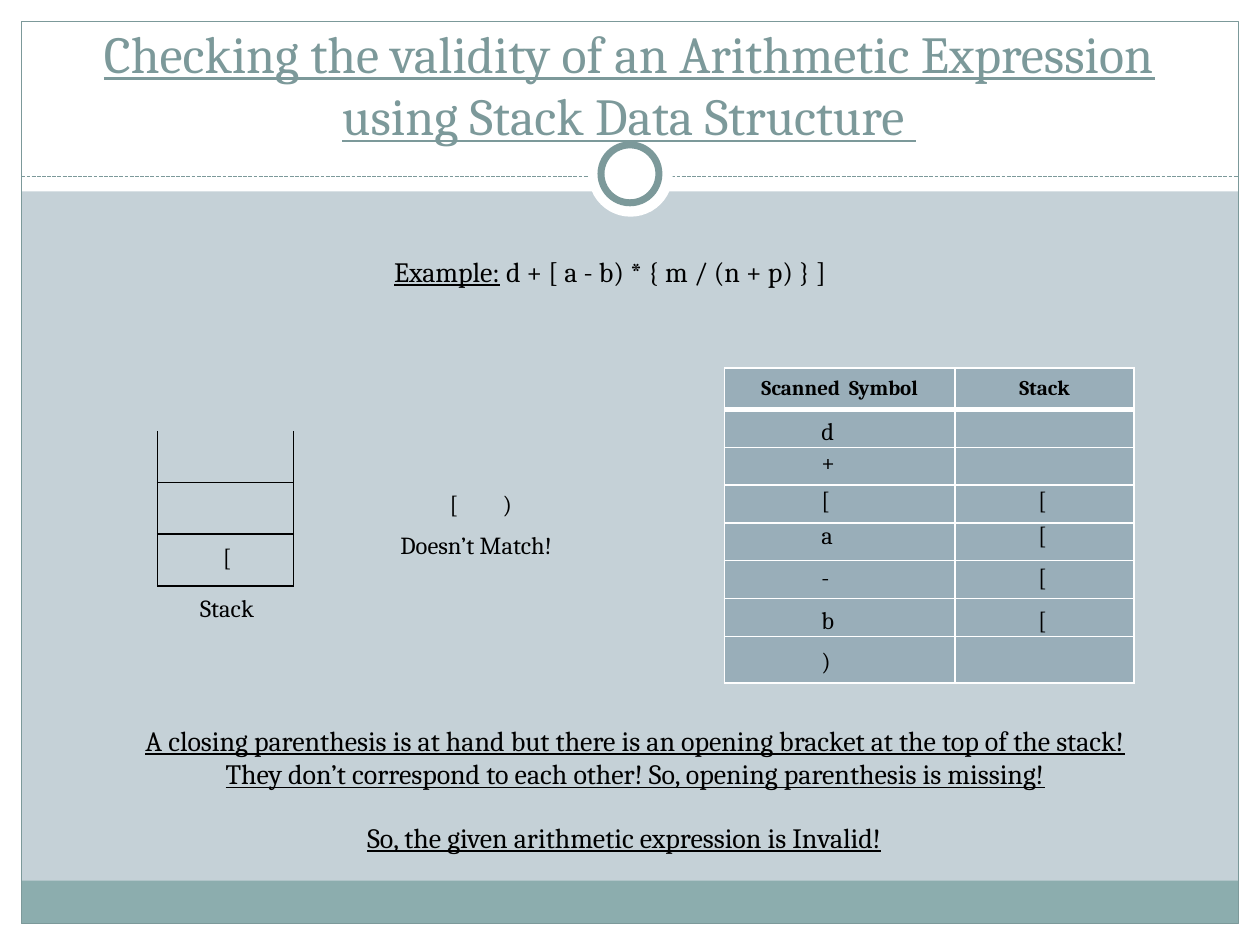
from lxml.etree import SubElement
from pptx import Presentation
from pptx.dml.color import RGBColor
from pptx.enum.dml import MSO_LINE
from pptx.enum.shapes import MSO_CONNECTOR, MSO_SHAPE
from pptx.enum.text import MSO_ANCHOR, MSO_AUTO_SIZE, PP_ALIGN
from pptx.oxml import parse_xml
from pptx.oxml.ns import nsdecls, qn
from pptx.util import Inches, Pt

FONT = "Cambria"
WHITE = RGBColor(0xFF, 0xFF, 0xFF)
BLACK = RGBColor(0, 0, 0)
BACKDROP = RGBColor(0xC5, 0xD1, 0xD7)
TEAL = RGBColor(0x7C, 0x99, 0x9A)
FOOTER = RGBColor(0x8C, 0xAD, 0xAE)
CELL = RGBColor(0x88, 0xA1, 0xAD)
W, H, EDGE = 10, 7.5, 0.17

# Content
TITLE = "Checking the validity of an Arithmetic Expression using Stack Data Structure "
EXAMPLE = [[("Example:", True), (" d + [ a - b) * { m / (n + p) } ]", False)]]
HEADERS = ["Scanned  Symbol", "Stack"]
STEPS = [  # scanned symbol, stack content, top of the labels
    ("d", "", 3.25), ("+", "", 3.5), ("[", "[", 3.8), ("a", "[", 4.08),
    ("-", "[", 4.41), ("b", "[", 4.75), (")", "", 5.08),
]
SYMBOL_X, STACK_X = 6.42, 8.14
LABELS = [  # text, left, top, width
    ("[", 1.67, 4.25, 0.28), ("Stack", 1.49, 4.66, 0.67),
    ("[", 3.47, 3.83, 0.28), (")", 3.89, 3.83, 0.28),
    ("Doesn’t Match!", 3.08, 4.16, 1.53),
]
REASON = [
    [("A closing parenthesis is at hand but there is an opening bracket at the top of the stack!", True)],
    [("They don’t correspond to each other! So, opening parenthesis is missing!", True)],
]
VERDICT = [[("So, the given arithmetic expression is Invalid!", True)]]

prs = Presentation()
prs.slide_width, prs.slide_height = Inches(W), Inches(H)
s = prs.slides.add_slide(prs.slide_layouts[5])
s.background.fill.solid()
s.background.fill.fore_color.rgb = BACKDROP


def box(*at):
    return [Inches(v) for v in at]


def set_font(font, size, color=BLACK):
    font.name, font.size = FONT, Pt(size)
    font.color.rgb = color


def add_panel(at, fill=None, line=None, width=0.75, kind=MSO_SHAPE.RECTANGLE):
    sp = s.shapes.add_shape(kind, *box(*at))
    sp.shadow.inherit = False
    if fill is None:
        sp.fill.background()
    else:
        sp.fill.solid()
        sp.fill.fore_color.rgb = fill
    if line is None:
        sp.line.fill.background()
    else:
        sp.line.color.rgb, sp.line.width = line, Pt(width)


def add_label(text, left, top, width=0.3):
    tf = s.shapes.add_textbox(*box(left, top, width, 0.34)).text_frame
    tf.word_wrap, tf.auto_size = False, MSO_AUTO_SIZE.SHAPE_TO_FIT_TEXT
    p = tf.paragraphs[0]
    p.text = text
    set_font(p.font, 14)


def add_statement(lines, at, align=None):
    tf = s.shapes.add_textbox(*box(*at)).text_frame
    tf.word_wrap, tf.auto_size = True, MSO_AUTO_SIZE.SHAPE_TO_FIT_TEXT
    for i, line in enumerate(lines):
        p = tf.add_paragraph() if i else tf.paragraphs[0]
        p.alignment, p.level = align, 1
        for text, underline in line:
            r = p.add_run()
            r.text = text
            set_font(r.font, 16)
            r.font.underline = underline


def set_borders(cell, color, **widths):
    """Give the sides L, R, T, B a width in points; 0 hides a side."""
    tc_pr = cell._tc.get_or_add_tcPr()
    for i, side in enumerate("LRTB"):
        pt = widths.get(side, 1)
        paint = f'<a:solidFill><a:srgbClr val="{color}"/></a:solidFill>' if pt else "<a:noFill/>"
        tc_pr.insert(i, parse_xml(
            f'<a:ln{side} {nsdecls("a")} w="{Pt(pt)}">{paint}</a:ln{side}>'))


def add_grid(at, col_widths, row_heights):
    table = s.shapes.add_table(len(row_heights), len(col_widths), *box(*at)).table
    table.horz_banding = False
    for col, width in zip(table.columns, col_widths):
        col.width = Inches(width)
    for row, height in zip(table.rows, row_heights):
        row.height = Inches(height)
    for cell in table.iter_cells():
        cell.margin_top = cell.margin_bottom = 0
        cell.vertical_anchor = MSO_ANCHOR.MIDDLE
        SubElement(cell.text_frame.paragraphs[0]._p, qn("a:endParaRPr"), sz="1200")
    return table


# Frame and ornament
for at in [(0, H - EDGE, W, EDGE), (0, 0, W, 1.52), (0, 0, EDGE, H), (W - EDGE, 0, EDGE, H)]:
    add_panel(at, WHITE)
add_panel((EDGE, 6.99, W - 2 * EDGE, 0.34), FOOTER)
add_panel((EDGE, EDGE, W - 2 * EDGE, H - 2 * EDGE), line=TEAL)
rule = s.shapes.add_connector(MSO_CONNECTOR.STRAIGHT, *box(EDGE, 1.4, W - EDGE, 1.4))
rule.line.color.rgb, rule.line.width = TEAL, Pt(0.75)
rule.line.dash_style = MSO_LINE.SQUARE_DOT
SubElement(rule._element.spPr, qn("a:effectLst"))
add_panel((4.67, 1.05, 0.67, 0.67), WHITE, kind=MSO_SHAPE.OVAL)
add_panel((4.77, 1.15, 0.46, 0.46), WHITE, TEAL, 4, MSO_SHAPE.OVAL)

# Title, in front of the frame
title = s.shapes.title
s.shapes._spTree.append(title._element)
title.left, title.top, title.width, title.height = box(0.33, 0.25, 9.33, 0.83)
tf = title.text_frame
tf.text, tf.word_wrap = TITLE, True
tf.auto_size, tf.vertical_anchor = MSO_AUTO_SIZE.NONE, MSO_ANCHOR.MIDDLE
p = tf.paragraphs[0]
p.alignment = PP_ALIGN.CENTER
set_font(p.runs[0].font, 29.7, TEAL)
p.runs[0].font.underline = True

add_statement(EXAMPLE, (2.53, 1.97, 5, 0.37))

# Trace table
trace = add_grid((5.75, 2.92, 3.25, 2.5), [1.83, 1.42], [0.33] + [0.3] * 6 + [0.37])
for i, cell in enumerate(trace.iter_cells()):
    cell.fill.solid()
    cell.fill.fore_color.rgb = CELL
    tint = cell._tc.tcPr.find(".//" + qn("a:srgbClr"))
    SubElement(tint, qn("a:alpha"), val="71000")
    row = i // len(HEADERS)
    set_borders(cell, WHITE, T=3 if row == 1 else 1, B=1 if row else 3)
for cell, text in zip(trace.rows[0].cells, HEADERS):
    p = cell.text_frame.paragraphs[0]
    p.alignment = PP_ALIGN.CENTER
    r = p.add_run()
    r.text = text
    set_font(r.font, 12)
    r.font.bold = True

# Stack drawing, open at the top
stack = add_grid((1.25, 3.42, 1.08, 1.22), [1.08], [0.41] * 3)
stack.first_row = False
for i, cell in enumerate(stack.iter_cells()):
    cell.fill.background()
    set_borders(cell, BLACK, T=1 if i else 0)

# Labels
for symbol, content, top in STEPS:
    add_label(symbol, SYMBOL_X, top)
    if content:
        add_label(content, STACK_X, top)
for label in LABELS:
    add_label(*label)

# Conclusion
add_statement(VERDICT, (2.08, 6.46, 5.25, 0.37), PP_ALIGN.CENTER)
add_statement(REASON, (0.08, 5.69, 9.42, 0.64), PP_ALIGN.CENTER)

prs.save("out.pptx")
